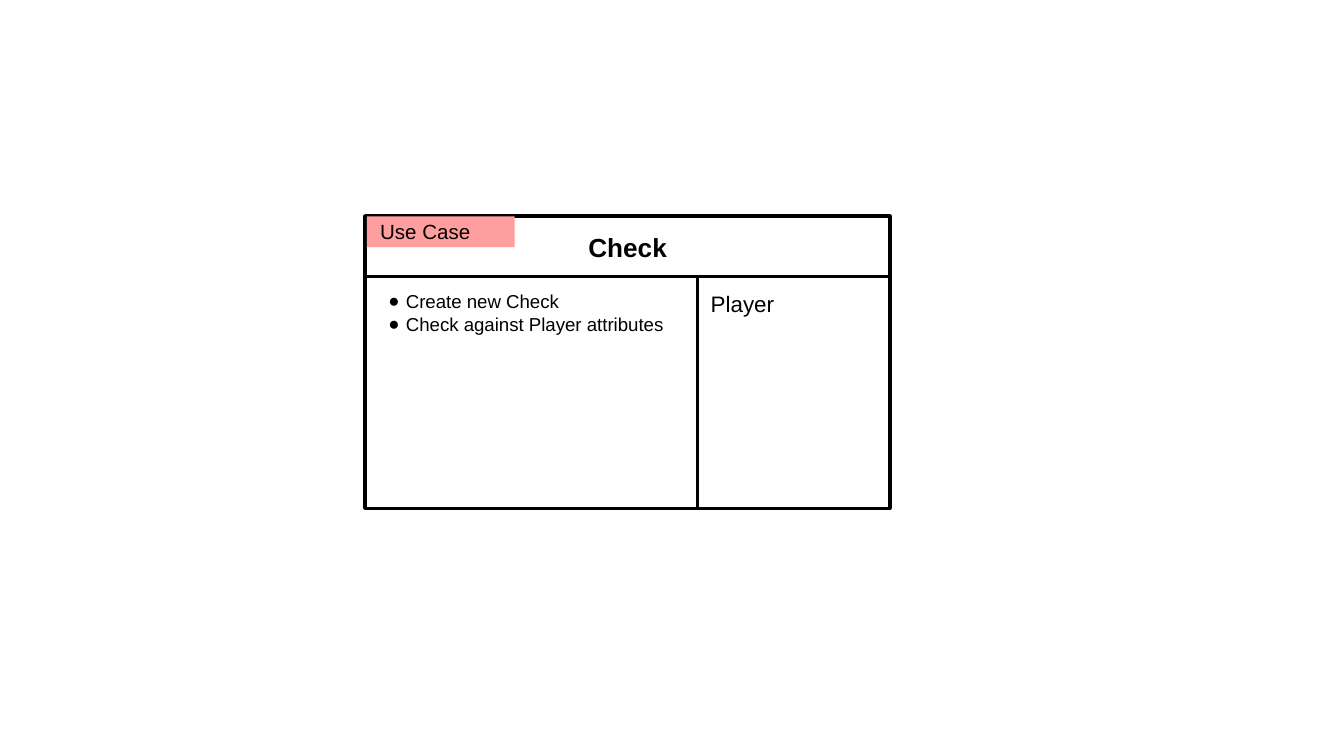
"""Build a use case card with a title, a task list and a collaborator."""
from lxml import etree
from pptx import Presentation
from pptx.dml.color import RGBColor
from pptx.enum.shapes import MSO_SHAPE
from pptx.enum.text import MSO_ANCHOR, MSO_AUTO_SIZE, PP_ALIGN
from pptx.oxml.ns import qn
from pptx.util import Inches, Pt

RECTANGLE = MSO_SHAPE.RECTANGLE
TOP, MIDDLE = MSO_ANCHOR.TOP, MSO_ANCHOR.MIDDLE
LEFT, CENTER = PP_ALIGN.LEFT, PP_ALIGN.CENTER
NO_AUTOFIT = MSO_AUTO_SIZE.NONE

TAG = "Use Case"
TITLE = "Check"
TASKS = ["Create new Check", "Check against Player attributes"]
COLLABORATORS = ["Player"]

THEME = {
    "font": "Arial", "ink": "000000", "paper": "FFFFFF", "tag": "FF9E9E",
    "title_size": 14, "task_size": 10, "collaborator_size": 12, "tag_size": 11,
    "frame_line": 2.25, "cell_line": 1.5, "inset": 0.1,
    "bullet": "●", "indent": 0.2, "hanging": -0.13,
}

SLIDE_WIDTH = 10
SLIDE_HEIGHT = SLIDE_WIDTH * 9 / 16
CARD_LEFT, CARD_TOP, CARD_WIDTH, CARD_HEIGHT = 2.72, 1.61, 3.9, 2.17
HEADER_HEIGHT, TASKS_WIDTH = 0.45, 2.47
TAG_WIDTH, TAG_HEIGHT = 1.1, 0.23


def style_box(shape, box, fill, line=None):
    shape.left, shape.top, shape.width, shape.height = (Inches(value) for value in box)
    shape.fill.solid()
    shape.fill.fore_color.rgb = RGBColor.from_string(fill)
    if line:
        shape.line.color.rgb = RGBColor.from_string(THEME["ink"])
        shape.line.width = Pt(line)
    else:
        shape.line.fill.background()


def add_box(slide, box, fill, line=None):
    shape = slide.shapes.add_shape(RECTANGLE, *(Inches(value) for value in box))
    shape.shadow.inherit = False
    style_box(shape, box, fill, line)
    return shape


def send_to_back(slide, shape):
    slide.shapes._spTree.insert(2, shape._element)


def add_bullet(paragraph):
    properties = paragraph._p.get_or_add_pPr()
    properties.set("marL", str(Inches(THEME["indent"])))
    properties.set("indent", str(Inches(THEME["hanging"])))
    color = etree.SubElement(properties, qn("a:buClr"))
    etree.SubElement(color, qn("a:srgbClr"), val=THEME["ink"])
    etree.SubElement(properties, qn("a:buFont"), typeface=THEME["font"])
    etree.SubElement(properties, qn("a:buChar"), char=THEME["bullet"])


def write(shape, lines, size, anchor=TOP, align=LEFT, bold=False, bulleted=False):
    frame = shape.text_frame
    frame.word_wrap = True
    frame.auto_size = NO_AUTOFIT
    frame.vertical_anchor = anchor
    inset = Inches(THEME["inset"])
    frame.margin_left = frame.margin_right = inset
    frame.margin_top = frame.margin_bottom = inset
    for index, line in enumerate(lines):
        paragraph = frame.add_paragraph() if index else frame.paragraphs[0]
        paragraph.alignment = align
        paragraph.space_before = Pt(0)
        if bulleted:
            add_bullet(paragraph)
        run = paragraph.add_run()
        run.text = line
        run.font.name = THEME["font"]
        run.font.size = Pt(size)
        run.font.bold = bold
        run.font.color.rgb = RGBColor.from_string(THEME["ink"])


def main():
    presentation = Presentation()
    presentation.slide_width = Inches(SLIDE_WIDTH)
    presentation.slide_height = Inches(SLIDE_HEIGHT)
    slide = presentation.slides.add_slide(presentation.slide_layouts[1])

    body_top = CARD_TOP + HEADER_HEIGHT
    body_height = CARD_HEIGHT - HEADER_HEIGHT
    paper, line = THEME["paper"], THEME["cell_line"]

    card = (CARD_LEFT, CARD_TOP, CARD_WIDTH, CARD_HEIGHT)
    send_to_back(slide, add_box(slide, card, paper, THEME["frame_line"]))

    title = slide.shapes.title
    style_box(title, (CARD_LEFT, CARD_TOP, CARD_WIDTH, HEADER_HEIGHT), paper, line)
    write(title, [TITLE], THEME["title_size"], MIDDLE, CENTER, bold=True)

    tasks = slide.placeholders[1]
    style_box(tasks, (CARD_LEFT, body_top, TASKS_WIDTH, body_height), paper, line)
    write(tasks, TASKS, THEME["task_size"], bulleted=True)

    collaborators = add_box(slide, (CARD_LEFT + TASKS_WIDTH, body_top,
                                    CARD_WIDTH - TASKS_WIDTH, body_height), paper, line)
    write(collaborators, COLLABORATORS, THEME["collaborator_size"])

    tag = add_box(slide, (CARD_LEFT + 0.01, CARD_TOP, TAG_WIDTH, TAG_HEIGHT), THEME["tag"])
    write(tag, [TAG], THEME["tag_size"], MIDDLE)

    presentation.save("out.pptx")


if __name__ == "__main__":
    main()
